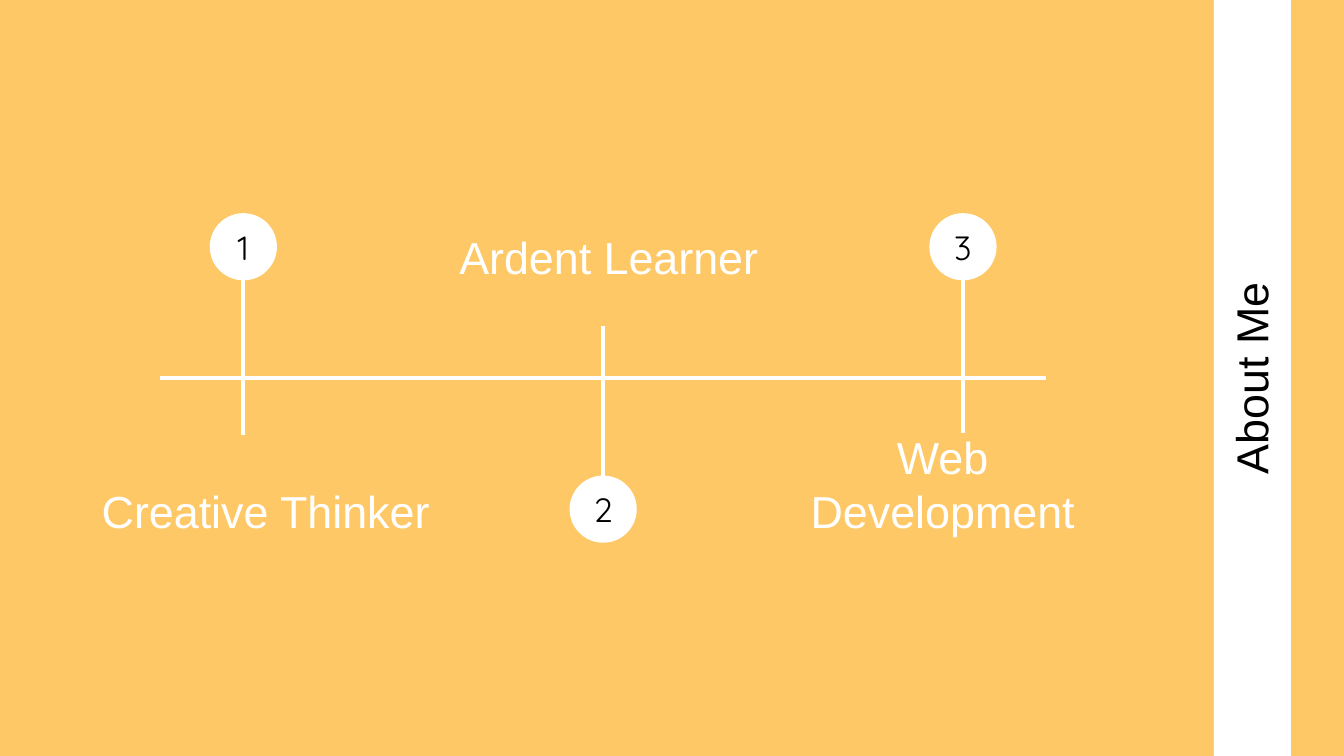
import pptx
import pptx.dml.color
import pptx.enum.shapes
import pptx.enum.text
import pptx.oxml
import pptx.oxml.ns
import pptx.util

Cm = pptx.util.Cm
ANCHOR = pptx.enum.text.MSO_ANCHOR
SHAPE = pptx.enum.shapes.MSO_SHAPE

WHITE = "FFFFFF"
BLACK = "000000"
ORANGE = "FFC866"
SLIDE_W, SLIDE_H = 25.4, 14.29
AXIS_Y = 7.14
FIRST_X, STEP_X = 4.6, 6.8
DIAMETER = 1.27
UPPER_Y, LOWER_Y = 4.03, 8.99
LABEL_H = 1.42


def paint(fill, color):
    fill.solid()
    fill.fore_color.rgb = pptx.dml.color.RGBColor.from_string(color)


def write(sp, text, size=24, font="Arial", color=WHITE, anchor=ANCHOR.BOTTOM):
    tf = sp.text_frame
    tf.word_wrap = True
    tf.auto_size = pptx.enum.text.MSO_AUTO_SIZE.NONE
    tf.vertical_anchor = anchor
    tf.margin_left = tf.margin_right = Cm(0.25)
    tf.margin_top = tf.margin_bottom = Cm(0.25)
    p = tf.paragraphs[0]
    p.alignment = pptx.enum.text.PP_ALIGN.CENTER
    r = p.add_run()
    r.text = text
    r.font.size = pptx.util.Pt(size)
    r.font.name = font
    paint(r.font.fill, color)


def add_block(s, kind, x, y, w, h):
    sp = s.shapes.add_shape(kind, Cm(x), Cm(y), Cm(w), Cm(h))
    sp.shadow.inherit = False
    sp.line.fill.background()
    paint(sp.fill, WHITE)
    return sp


def add_line(s, x1, y1, x2, y2):
    line = s.shapes.add_connector(
        pptx.enum.shapes.MSO_CONNECTOR.STRAIGHT, Cm(x1), Cm(y1), Cm(x2), Cm(y2))
    line.line.width = pptx.util.Pt(2.25)
    paint(line.line.fill, WHITE)
    effects = pptx.oxml.parse_xml(f"<a:effectLst {pptx.oxml.ns.nsdecls('a')}/>")
    line.element.spPr.append(effects)


def add_label(s, text, x, y, w):
    sp = s.shapes.add_textbox(Cm(x), Cm(y), Cm(w), Cm(LABEL_H))
    write(sp, text)


def add_badge(s, number, x, y):
    sp = add_block(s, SHAPE.OVAL, x - DIAMETER / 2, y, DIAMETER, DIAMETER)
    write(sp, str(number), size=18, font="Quicksand", color=BLACK, anchor=ANCHOR.MIDDLE)


def add_side_title(s, text):
    band = add_block(s, SHAPE.RECTANGLE, 22.94, 0, 1.46, SLIDE_H)
    title = s.shapes.title
    title.left, title.top = Cm(11.84), Cm(6.35)
    title.width, title.height = Cm(23.67), Cm(1.6)
    title.rotation = 270
    write(title, text, color=BLACK, anchor=ANCHOR.TOP)
    title.element.addprevious(band.element)


def main():
    prs = pptx.Presentation()
    prs.slide_width, prs.slide_height = Cm(SLIDE_W), Cm(SLIDE_H)
    s = prs.slides.add_slide(prs.slide_layouts[5])
    paint(s.background.fill, ORANGE)
    add_side_title(s, "About Me")
    add_line(s, 3.02, AXIS_Y, 19.76, AXIS_Y)

    milestones = [
        ("Creative Thinker", UPPER_Y, 8.22, 1.07, LOWER_Y, 7.9),
        ("Ardent Learner", LOWER_Y, 6.17, 8.33, 4.19, 6.35),
        ("Web Development", UPPER_Y, 8.18, 14.22, LOWER_Y, 7.19),
    ]
    for i, (text, badge_y, stem_end, label_x, label_y, label_w) in enumerate(milestones):
        x = FIRST_X + i * STEP_X
        stem_start = badge_y + DIAMETER if badge_y < AXIS_Y else badge_y
        add_line(s, x, stem_start, x, stem_end)
        add_label(s, text, label_x, label_y, label_w)
        add_badge(s, i + 1, x, badge_y)

    prs.save("out.pptx")


if __name__ == "__main__":
    main()
